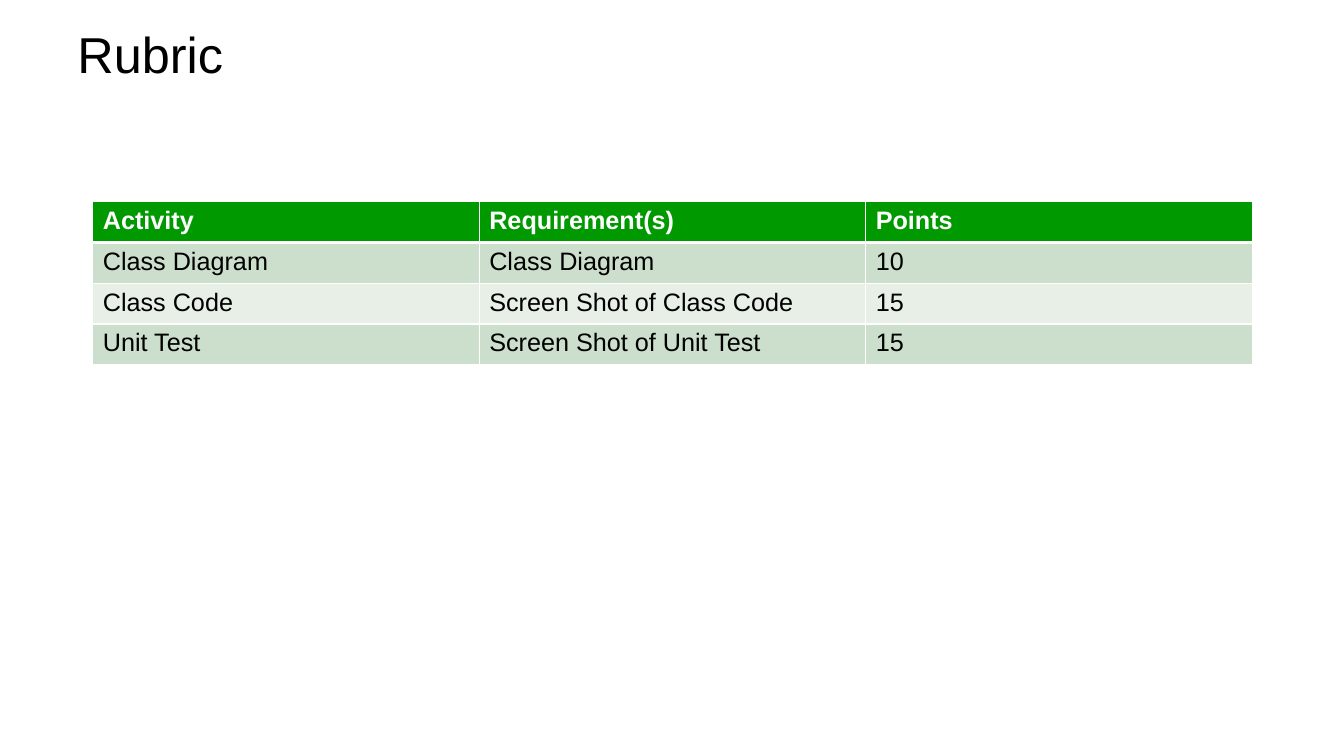
from lxml import etree
from pptx import Presentation
from pptx.dml.color import RGBColor
from pptx.enum.text import MSO_ANCHOR
from pptx.oxml.ns import qn
from pptx.util import Inches, Pt

MIDDLE = MSO_ANCHOR.MIDDLE
FONT = "Arial"
BLACK, WHITE = "000000", "FFFFFF"
GREEN, SAGE, MIST = "009900", "CCDECC", "E7EFE7"
ROWS = [
    ("Activity", "Requirement(s)", "Points"),
    ("Class Diagram", "Class Diagram", "10"),
    ("Class Code", "Screen Shot of Class Code", "15"),
    ("Unit Test", "Screen Shot of Unit Test", "15"),
]


def color(code):
    return RGBColor.from_string(code)


def write(frame, text, size=18, ink=BLACK, bold=False):
    run = frame.paragraphs[0].add_run()
    run.text = text
    font = run.font
    font.name, font.size, font.bold = FONT, Pt(size), bold
    font.color.rgb = color(ink)


def border(cell, **widths):
    props = cell._tc.get_or_add_tcPr()
    for spot, (side, width) in enumerate(widths.items()):
        line = etree.Element(qn(f"a:ln{side}"), w=str(Pt(width)))
        fill = etree.SubElement(line, qn("a:solidFill"))
        etree.SubElement(fill, qn("a:srgbClr"), val=WHITE)
        props.insert(spot, line)


def title(slide, text, left, top, width, height):
    box = slide.shapes.add_textbox(
        Inches(left), Inches(top), Inches(width), Inches(height))
    frame = box.text_frame
    frame.word_wrap = True
    frame.vertical_anchor = MIDDLE
    write(frame, text, size=36)


def rubric(slide, rows, left, top, width, height):
    table = slide.shapes.add_table(
        len(rows), len(rows[0]), Inches(left), Inches(top),
        Inches(width), Inches(height)).table
    for r, row in enumerate(rows):
        head = r == 0
        shade = GREEN if head else (MIST, SAGE)[r % 2]
        for c, text in enumerate(row):
            cell = table.cell(r, c)
            cell.fill.solid()
            cell.fill.fore_color.rgb = color(shade)
            border(cell, L=1, R=1, T=3 if r == 1 else 1, B=3 if head else 1)
            write(cell.text_frame, text, ink=WHITE if head else BLACK, bold=head)


def main():
    deck = Presentation()
    deck.slide_width, deck.slide_height = Inches(13.33), Inches(7.5)
    slide = deck.slides.add_slide(deck.slide_layouts[6])
    title(slide, "Rubric", 0.67, 0.21, 12, 0.64)
    rubric(slide, ROWS, 0.92, 2, 11.5, 1.62)
    deck.save("out.pptx")


if __name__ == "__main__":
    main()
